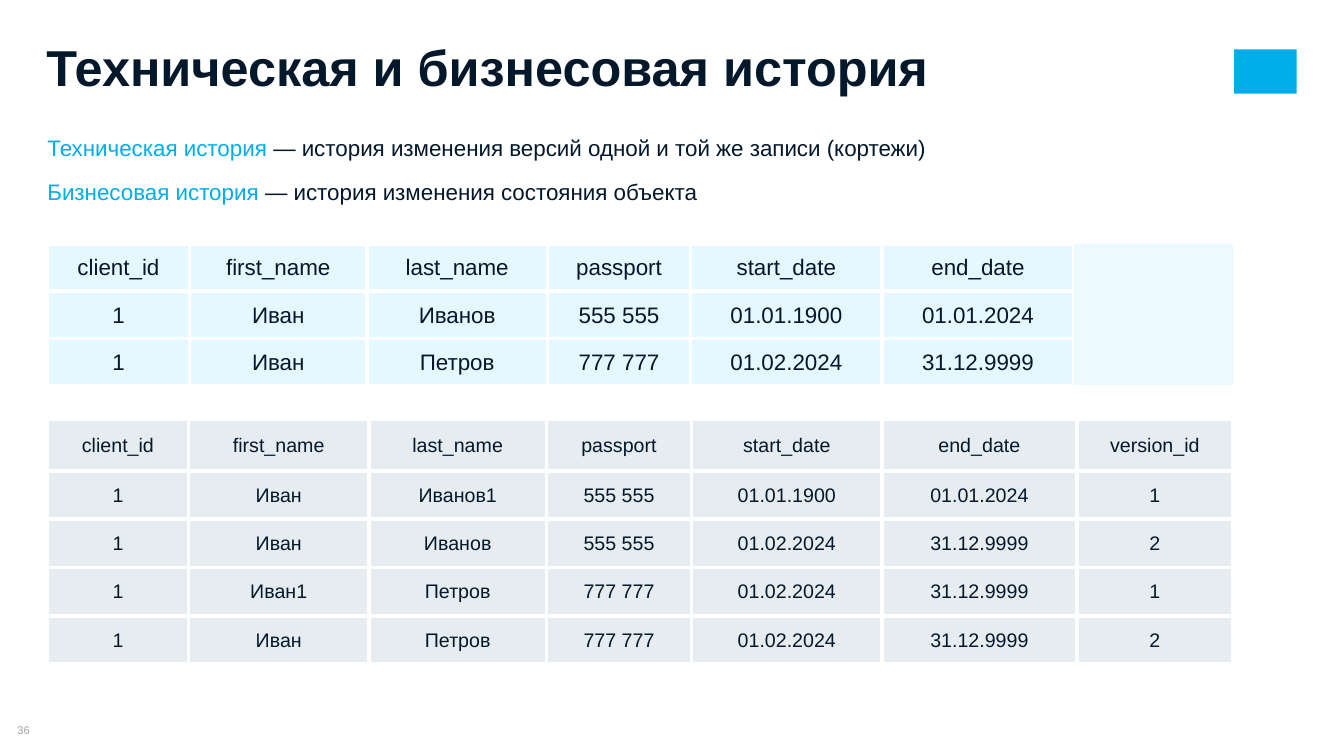
from lxml import etree
from pptx import Presentation
from pptx.dml.color import RGBColor
from pptx.enum.shapes import MSO_SHAPE
from pptx.enum.text import MSO_ANCHOR as Anchor, PP_ALIGN as Align
from pptx.oxml import parse_xml
from pptx.oxml.ns import nsdecls, qn
from pptx.util import Pt

PX = 9144  # EMU in one px, 100 px to the inch
FONT = "Arial"
NAVY = RGBColor(0x03, 0x18, 0x2B)
CYAN = RGBColor(0x00, 0xAD, 0xEB)
ICE = RGBColor(0xE5, 0xF8, 0xFF)
MIST = RGBColor(0xE7, 0xEC, 0xF1)
GRAY = RGBColor(0xA6, 0xA6, 0xA6)
WHITE = RGBColor(0xFF, 0xFF, 0xFF)

TERMS = [
    ("Техническая история ", "— история изменения версий одной и той же записи (кортежи)"),
    ("Бизнесовая история ", "— история изменения состояния объекта"),
]
HEAD = ["client_id", "first_name", "last_name", "passport", "start_date", "end_date"]
STATES = [
    HEAD,
    ["1", "Иван", "Иванов", "555 555", "01.01.1900", "01.01.2024"],
    ["1", "Иван", "Петров", "777 777", "01.02.2024", "31.12.9999"],
]
VERSIONS = [
    HEAD + ["version_id"],
    ["1", "Иван", "Иванов1", "555 555", "01.01.1900", "01.01.2024", "1"],
    ["1", "Иван", "Иванов", "555 555", "01.02.2024", "31.12.9999", "2"],
    ["1", "Иван1", "Петров", "777 777", "01.02.2024", "31.12.9999", "1"],
    ["1", "Иван", "Петров", "777 777", "01.02.2024", "31.12.9999", "2"],
]


def emu(*sizes):
    return [size * PX for size in sizes]


def style(par, size, color, bold=False):
    font = par.font
    font.name, font.size, font.bold = FONT, Pt(size), bold
    font.color.rgb = color


def clear(frame, anchor):
    frame.word_wrap = True
    frame.vertical_anchor = anchor
    frame.margin_left = frame.margin_right = 0
    frame.margin_top = frame.margin_bottom = 0


def add_title(slide, box, text):
    title = slide.shapes.title
    title.left, title.top, title.width, title.height = emu(*box)
    clear(title.text_frame, Anchor.TOP)
    title.text_frame.text = text
    par = title.text_frame.paragraphs[0]
    par.alignment, par.line_spacing = Align.LEFT, 0.8
    style(par, 36, NAVY, True)


def add_terms(slide, box):
    frame = slide.shapes.add_textbox(*emu(*box)).text_frame
    clear(frame, Anchor.TOP)
    for i, term in enumerate(TERMS):
        par = frame.add_paragraph() if i else frame.paragraphs[0]
        par.space_after = Pt(12)
        style(par, 16, NAVY)
        for text, color in zip(term, (CYAN, NAVY)):
            run = par.add_run()
            run.text = text
            run.font.color.rgb = color


def add_number(slide, box, text):
    frame = slide.shapes.add_textbox(*emu(*box)).text_frame
    clear(frame, Anchor.MIDDLE)
    frame.text = text
    frame.paragraphs[0].alignment = Align.CENTER
    style(frame.paragraphs[0], 8, GRAY)


def add_rect(slide, box, color, alpha=100):
    rect = slide.shapes.add_shape(MSO_SHAPE.RECTANGLE, *emu(*box))
    rect.shadow.inherit = False
    rect.line.fill.background()
    rect.fill.solid()
    rect.fill.fore_color.rgb = color
    if alpha < 100:
        tone = rect.fill._xPr.find(qn("a:solidFill"))[0]
        etree.SubElement(tone, qn("a:alpha")).set("val", str(alpha * 1000))


def add_edges(cell):
    props = cell._tc.get_or_add_tcPr()
    for i, side in enumerate("LRTB"):
        props.insert(i, parse_xml(
            f'<a:ln{side} {nsdecls("a")} w="{Pt(3)}"><a:solidFill>'
            f'<a:srgbClr val="{WHITE}"/></a:solidFill></a:ln{side}>'))


def add_grid(slide, left, top, widths, heights, rows, size, color):
    box = emu(left, top, sum(widths), sum(heights))
    table = slide.shapes.add_table(len(rows), len(widths), *box).table
    table.first_row = table.horz_banding = False
    for col, width in zip(table.columns, widths):
        col.width = width * PX
    for row, height, texts in zip(table.rows, heights, rows):
        row.height = height * PX
        for cell, text in zip(row.cells, texts):
            cell.text = text
            cell.vertical_anchor = Anchor.MIDDLE
            cell.margin_left = cell.margin_right = cell.margin_top = PX
            cell.margin_bottom = 0
            cell.fill.solid()
            cell.fill.fore_color.rgb = color
            add_edges(cell)
            par = cell.text_frame.paragraphs[0]
            par.alignment = Align.CENTER
            style(par, size, NAVY)


def main():
    deck = Presentation()
    deck.slide_width, deck.slide_height = emu(1333, 750)
    slide = deck.slides.add_slide(deck.slide_layouts[5])

    # Header, corner mark and page number
    add_rect(slide, (1224, 49, 62, 44), CYAN)
    add_number(slide, (0, 718, 47, 13), "36")
    add_title(slide, (46, 47, 1052, 48), "Техническая и бизнесовая история")
    add_terms(slide, (47, 133, 1052, 143))

    # Business history above, technical history below
    add_grid(slide, 47, 242, [141, 176, 179, 142, 190, 190], [47] * 3,
             STATES, 16, ICE)
    add_grid(slide, 47, 416, [140, 179, 176, 144, 189, 193, 155],
             [51] + [48] * 4, VERSIONS, 14, MIST)

    # Empty place of the version column
    add_rect(slide, (1065, 242, 158, 140), ICE, 70)
    deck.save("out.pptx")


if __name__ == "__main__":
    main()
